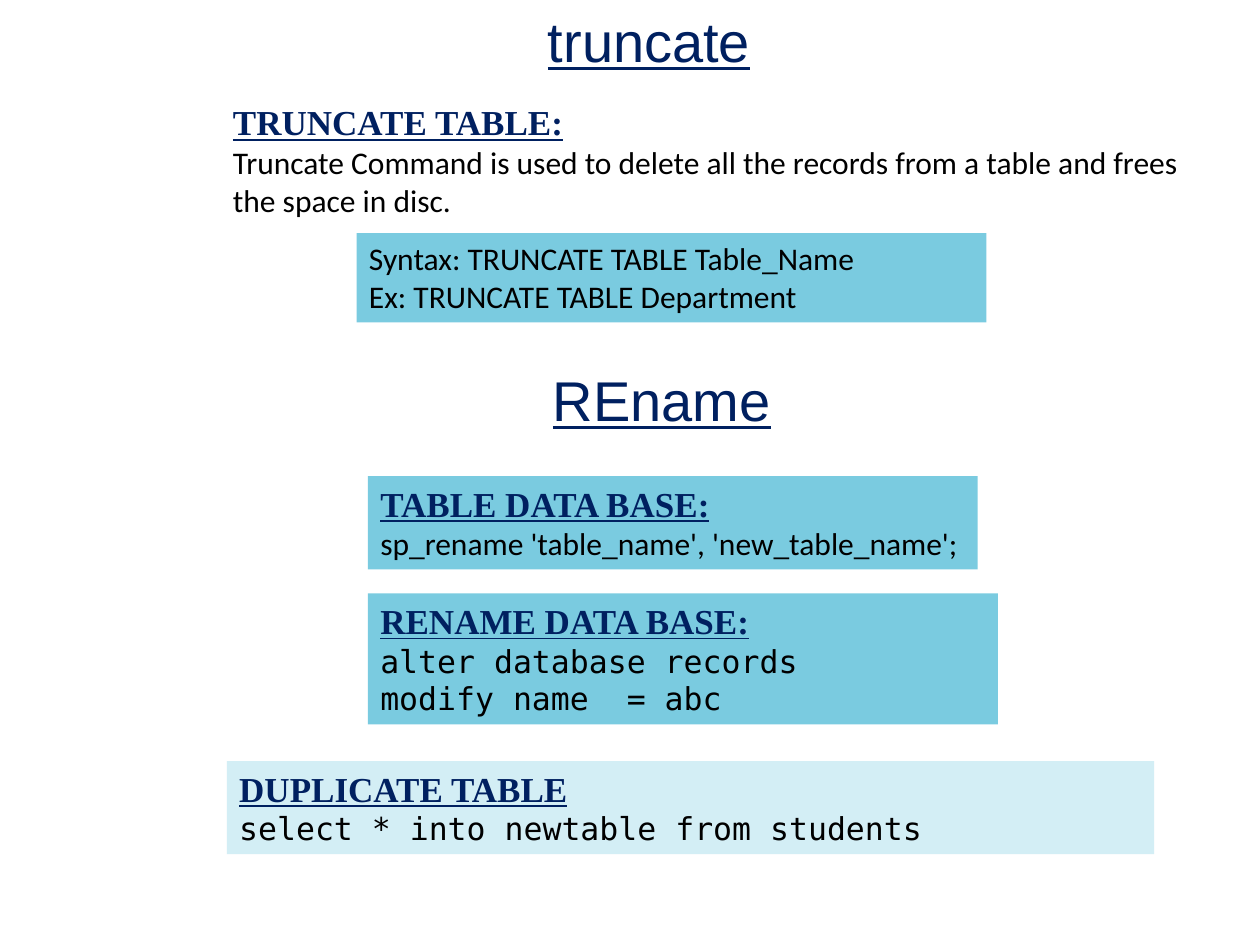
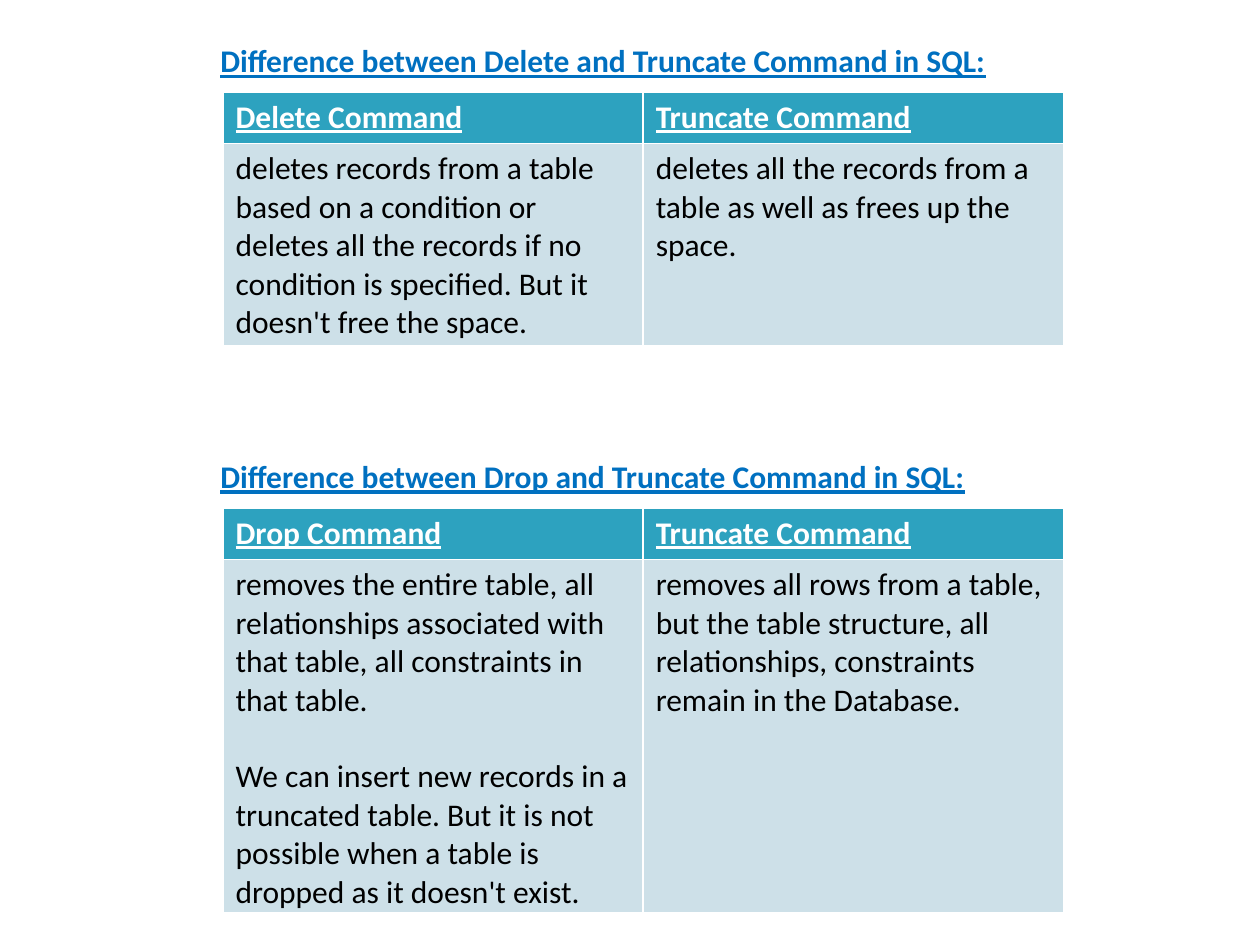
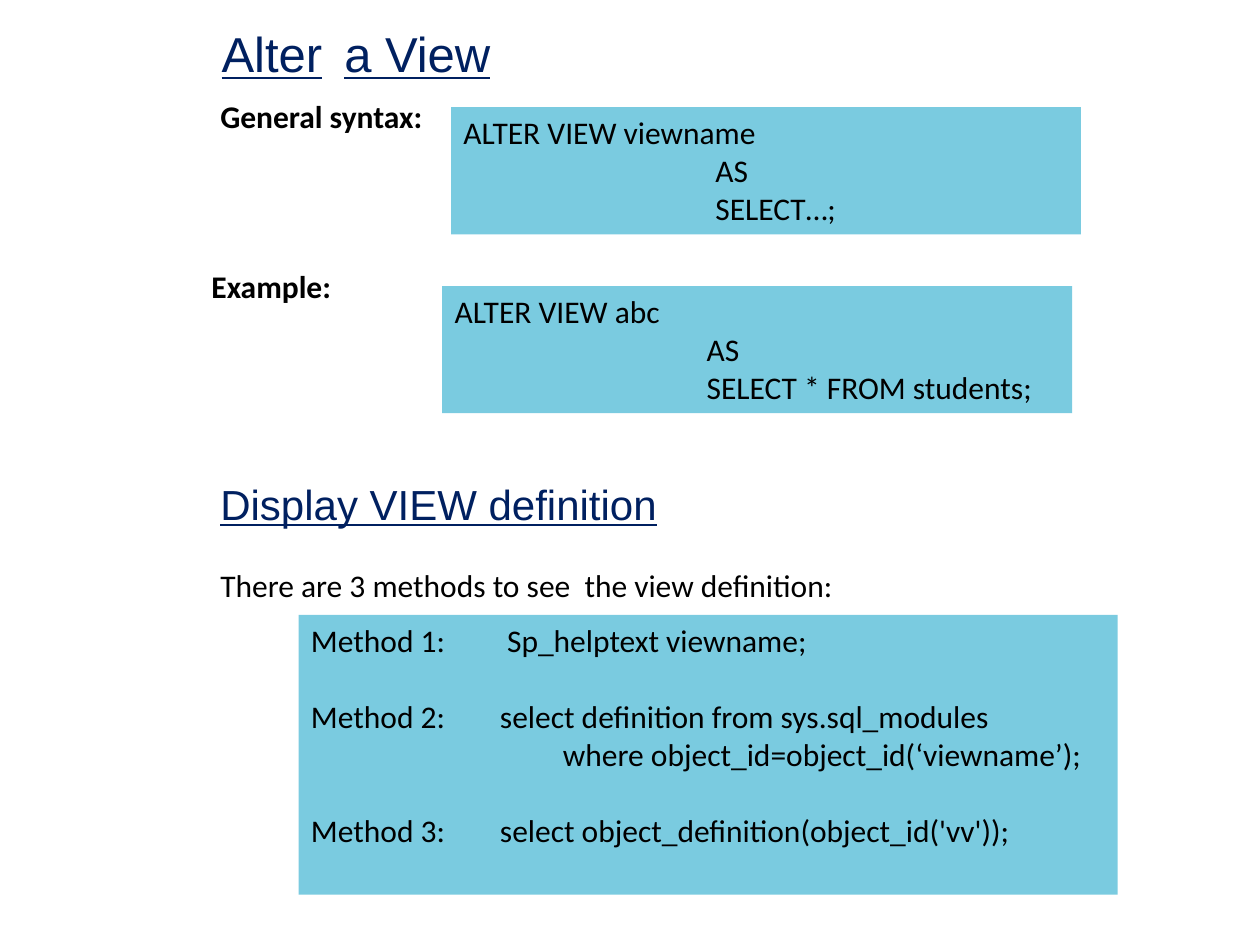
from pptx import Presentation
from pptx.dml.color import RGBColor
from pptx.enum.shapes import MSO_SHAPE
from pptx.enum.text import MSO_ANCHOR, PP_ALIGN
from pptx.util import Inches, Pt

COLORS = {
    "navy": "002060", "blue": "0070C0", "black": "000000", "white": "FFFFFF",
    "panel": "7ACBE0", "pale": "D3EEF5", "header": "2DA2BF", "cell": "CDE0E8",
}

# name: font, size, colour, bold, underline
STYLES = {
    "title": ("Arial", 32, "navy", False, True),
    "title_28": ("Arial", 28, "navy", False, True),
    "title_gap": ("Calibri", 28, "black", True, False),
    "title_24": ("Arial", 24, "navy", False, True),
    "section": ("Times New Roman", 20, "navy", True, True),
    "body": ("Calibri", 18, "black", False, False),
    "label": ("Calibri", 18, "black", True, False),
    "code": ("DejaVu Sans Mono", 18, "black", False, False),
    "heading": ("Calibri", 18, "blue", True, True),
    "column": ("Calibri", 18, "white", True, True),
}
INDENT = 2      # inches
LINE_GAP = 22   # points, one line of body text

# Each box: left, top, width, height, fill, paragraphs (style, text, options)
TRUNCATE_RENAME = [
    (4.25, 0, 2.47, 0.64, None, [("title", "truncate")]),
    (1.75, 0.75, 7.92, 1.05, None, [
        ("section", "TRUNCATE TABLE:"),
        ("body", "Truncate Command is used to delete all the records from a table "
                 "and frees the space in disc.")]),
    (2.83, 1.85, 5, 0.71, "panel", [
        ("body", "Syntax: TRUNCATE TABLE Table_Name\vEx: TRUNCATE TABLE Department")]),
    (2.92, 3.78, 4.84, 0.74, "panel", [
        ("section", "TABLE DATA BASE:"),
        ("body", "sp_rename 'table_name', 'new_table_name';")]),
    (4.29, 2.85, 2, 0.64, None, [("title", "REname")]),
    (1.8, 6.04, 7.36, 0.74, "pale", [
        ("section", "DUPLICATE TABLE"),
        ("code", "select * into newtable from students")]),
    (2.92, 4.71, 5, 1.04, "panel", [
        ("section", "RENAME DATA BASE:"),
        ("code", "alter database records"),
        ("code", "modify name  = abc")]),
]

# Each comparison: top, heading, column names, cells, body height
COMPARISONS = [
    (0.28, "Difference between Delete and Truncate Command in SQL:",
     ("Delete Command", "Truncate Command"),
     (["deletes records from a table based on a condition or deletes all the records "
       "if no condition is specified. But it doesn't free the space."],
      ["deletes all the records from a table as well as frees up the space."]), 1.6),
    (3.58, "Difference between Drop and Truncate Command in SQL:",
     ("Drop Command", "Truncate Command"),
     (["removes the entire table, all relationships associated with that table, "
       "all constraints in that table.",
       "We can insert new records in a truncated table. But it is not possible when "
       "a table is dropped as it doesn't exist."],
      ["removes all rows from a table, but the table structure, all relationships, "
       "constraints remain in the Database."]), 2.8),
]

VIEWS = [
    (1.66, 0.14, 2.91, 0.57, None, [
        (None, [("title_28", "Alter"), ("title_gap", "  "), ("title_28", "a View")])]),
    (3.58, 0.85, 5, 1.01, "panel", [
        ("body", "ALTER VIEW viewname"),
        ("body", "AS", "indent"),
        ("body", "SELECT…;", "indent")]),
    (3.51, 2.27, 5, 1.01, "panel", [
        ("body", "ALTER VIEW abc"),
        ("body", "AS", "indent"),
        ("body", "SELECT * FROM students;", "indent")]),
    (1.65, 0.72, 1.9, 0.4, None, [("label", "General syntax:")]),
    (1.58, 2.07, 1.9, 0.4, None, [("label", "Example:")]),
    (1.65, 3.75, 8.35, 0.5, None, [("title_24", "Display VIEW definition")]),
    (2.37, 4.88, 6.5, 2.22, "panel", [
        ("body", "Method 1:\t Sp_helptext viewname;"),
        ("body", "Method 2:\tselect definition from sys.sql_modules", "gap"),
        ("body", "where object_id=object_id(‘viewname’);", "indent"),
        ("body", "Method 3:\tselect object_definition(object_id('vv'));", "gap")]),
    (1.65, 4.44, 8.26, 0.4, None, [
        ("body", "There are 3 methods to see  the view definition:")]),
]


def rgb(name):
    return RGBColor.from_string(COLORS[name])


def set_font(font, style):
    name, size, color, bold, underline = STYLES[style]
    font.name, font.size = name, Pt(size)
    font.bold, font.underline = bold, underline
    font.color.rgb = rgb(color)


def set_text(tf, paragraphs):
    for i, (style, text, *options) in enumerate(paragraphs):
        p = tf.add_paragraph() if i else tf.paragraphs[0]
        p.alignment = PP_ALIGN.LEFT
        if "indent" in options:
            pPr = p._p.get_or_add_pPr()
            pPr.set("marL", str(Inches(INDENT)))
            pPr.set("indent", "0")
        if "gap" in options:
            p.space_before = Pt(LINE_GAP)
        if style:
            p.text = text
            set_font(p.font, style)
        else:
            for run_style, run_text in text:
                r = p.add_run()
                r.text = run_text
                set_font(r.font, run_style)


def add_box(slide, left, top, width, height, fill, paragraphs):
    area = [Inches(v) for v in (left, top, width, height)]
    if fill:
        sp = slide.shapes.add_shape(MSO_SHAPE.RECTANGLE, *area)
        sp.shadow.inherit = False
        sp.fill.solid()
        sp.fill.fore_color.rgb = rgb(fill)
        sp.line.fill.background()
    else:
        sp = slide.shapes.add_textbox(*area)
    tf = sp.text_frame
    tf.word_wrap = True
    tf.vertical_anchor = MSO_ANCHOR.TOP
    set_text(tf, paragraphs)


def add_comparison(slide, top, heading, names, cells, body_height):
    """Heading with a two-column table 0.45 inches below it."""
    add_box(slide, 1.65, top, 8, 0.4, None, [("heading", heading)])
    heights = (0.41, body_height)
    table = slide.shapes.add_table(
        2, 2, Inches(1.77), Inches(top + 0.45), Inches(6.67), Inches(sum(heights))).table
    for row, height in zip(table.rows, heights):
        row.height = Inches(height)
    rows = (("column", "header", [[name] for name in names]), ("body", "cell", cells))
    for i, (style, fill, contents) in enumerate(rows):
        for j, texts in enumerate(contents):
            cell = table.cell(i, j)
            cell.fill.solid()
            cell.fill.fore_color.rgb = rgb(fill)
            set_text(cell.text_frame,
                     [(style, text, "gap" if k else "") for k, text in enumerate(texts)])


def main():
    prs = Presentation()
    prs.slide_width, prs.slide_height = Inches(10), Inches(7.5)
    pages = [(add_box, TRUNCATE_RENAME), (add_comparison, COMPARISONS), (add_box, VIEWS)]
    for add_part, parts in pages:
        slide = prs.slides.add_slide(prs.slide_layouts[6])
        for part in parts:
            add_part(slide, *part)
    prs.save("out.pptx")


if __name__ == "__main__":
    main()
